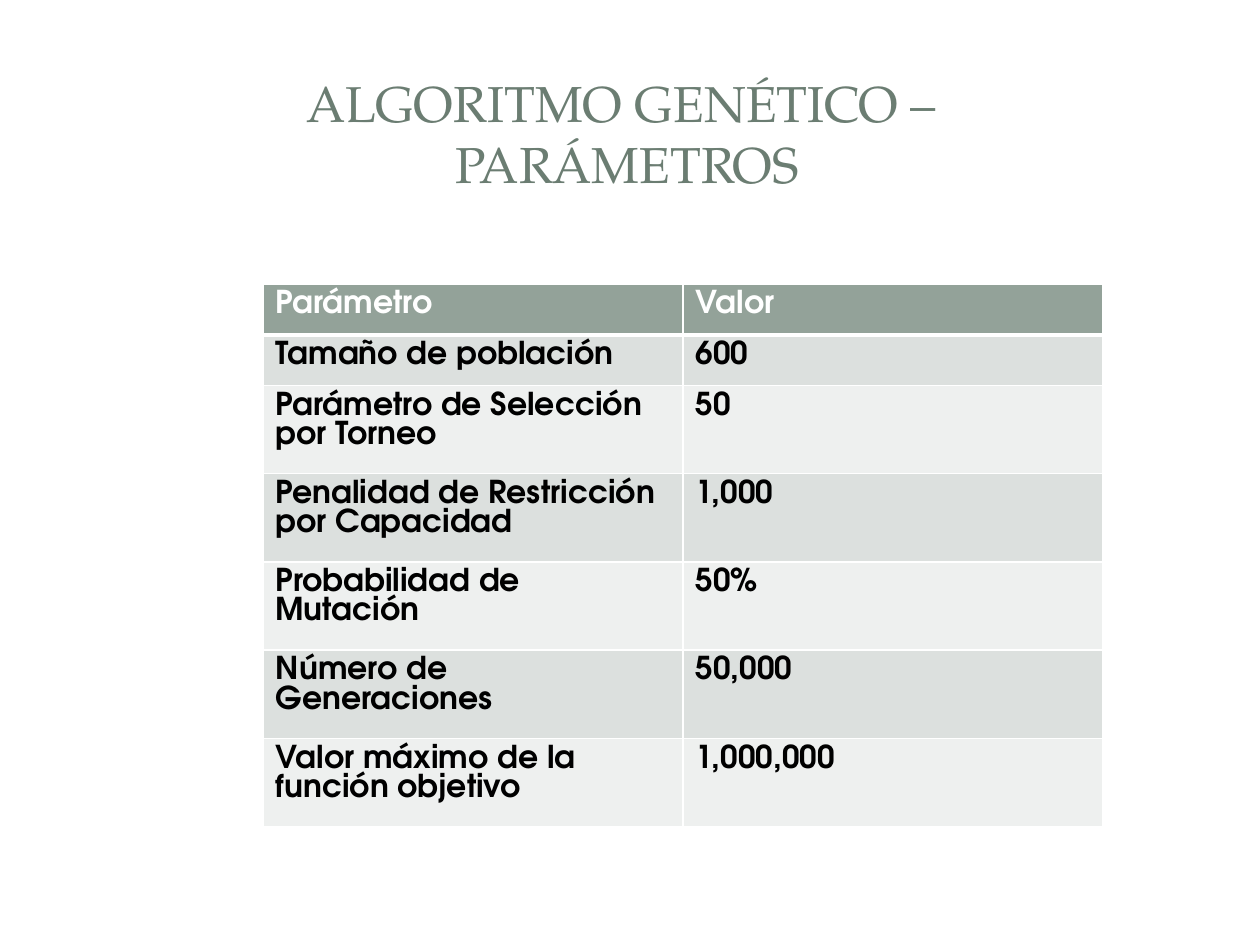
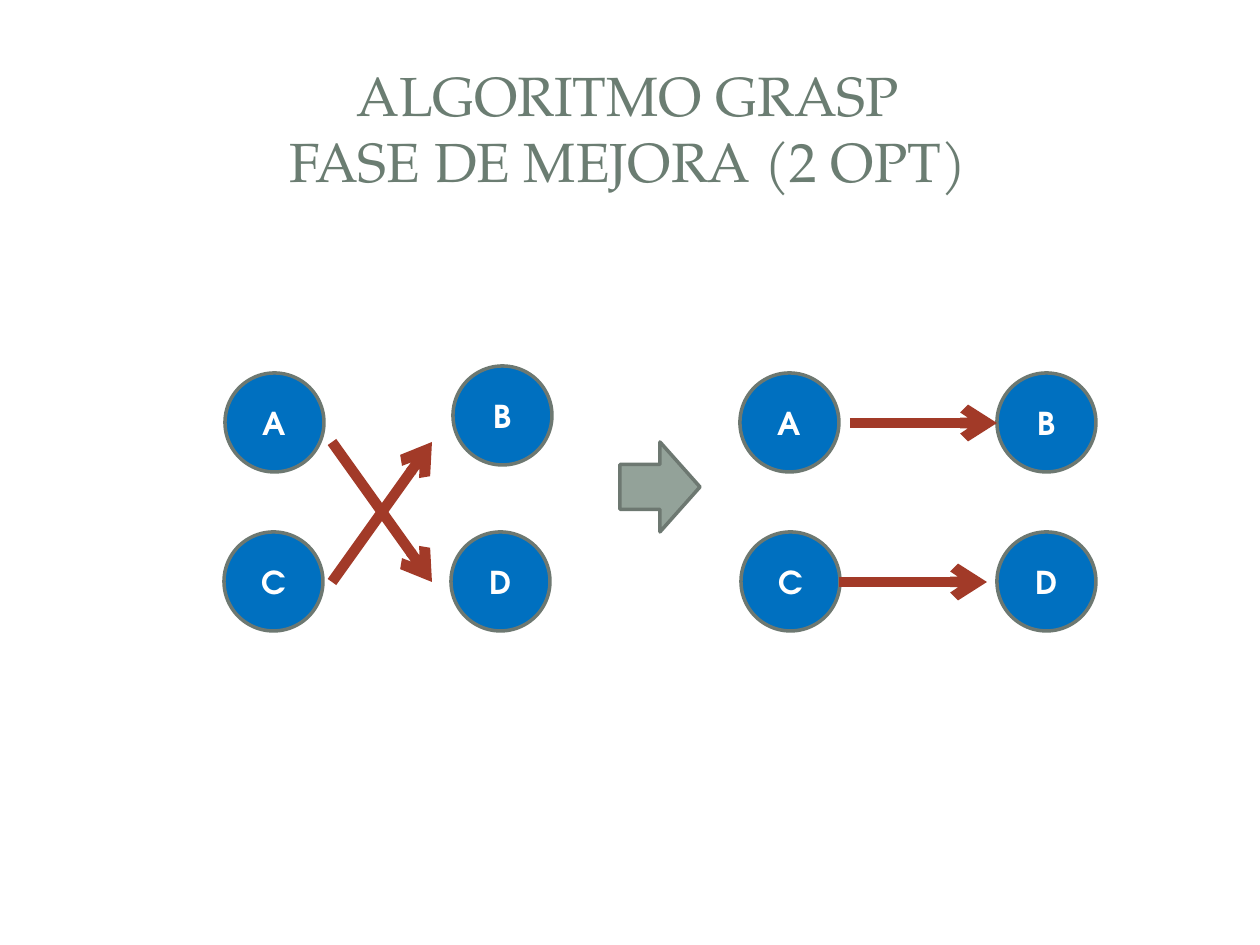
import pptx
import pptx.util
import pptx.dml.color
import pptx.enum.shapes
import pptx.enum.text
import pptx.oxml
import pptx.oxml.ns

RGB = pptx.dml.color.RGBColor
SHAPE = pptx.enum.shapes.MSO_SHAPE
Pt = pptx.util.Pt

# Colours and fonts
WHITE = RGB(0xFF, 0xFF, 0xFF)
BLACK = RGB(0, 0, 0)
SLATE = RGB(0x6B, 0x7D, 0x72)
SAGE = RGB(0x93, 0xA2, 0x99)
DARK = RGB(0xDC, 0xE0, 0xDE)
PALE = RGB(0xEE, 0xF0, 0xEF)
BLUE = RGB(0x00, 0x70, 0xC0)
EDGE = RGB(0x6D, 0x78, 0x71)
RUST = RGB(0xA2, 0x3A, 0x28)
SERIF, SANS = "TeX Gyre Pagella", "TeX Gyre Adventor"

# Shared white panels: shape, box in px, opacity in percent
PANELS = [
    (SHAPE.ROUNDED_RECTANGLE, (13, 14, 1235, 919), 100),
    (SHAPE.RECTANGLE, (38, 38, 1184, 183), 83),
    (SHAPE.RECTANGLE, (52, 52, 1155, 154), 100),
]

# Content: text, box in px, size in points
TITLES = [
    ("ALGORITMO GENÉTICO – \vPARÁMETROS", (144, 86, 967, 94), 28.8),
    ("ALGORITMO GRASP\vFASE DE MEJORA (2 OPT)", (59, 55, 1138, 144), 31.5),
]
PARAMS = [
    ("Parámetro", "Valor"),
    ("Tamaño de población", "600"),
    ("Parámetro de Selección por Torneo", "50"),
    ("Penalidad de Restricción por Capacidad", "1,000"),
    ("Probabilidad de Mutación", "50%"),
    ("Número de Generaciones", "50,000"),
    ("Valor máximo de la función objetivo", "1,000,000"),
]
GRID = (263, 284)
COL = 420
ROWS = [51, 50] + [88] * 5
NODE = 99
NODES = [
    ("A", 225, 373), ("B", 453, 366), ("C", 224, 532), ("D", 451, 532),
    ("A", 740, 373), ("B", 997, 373), ("C", 741, 532), ("D", 997, 532),
]
LINKS = [
    (332, 442, 432, 582), (332, 582, 432, 442),
    (839, 582, 987, 582), (850, 423, 997, 423),
]
STEP = (620, 442, 80, 90)


def px(*vals):
    return [round(v * 914400 / 126) for v in vals]


def style(para, **format):
    """Set font values on a paragraph; colour goes to its RGB."""
    para.font.color.rgb = format.pop("color")
    for key, val in format.items():
        setattr(para.font, key, val)


def add_part(slide, kind, box, fill, edge=None):
    part = slide.shapes.add_shape(kind, *px(*box))
    part.shadow.inherit = False
    part.fill.solid()
    part.fill.fore_color.rgb = fill
    if edge is None:
        part.line.fill.background()
    else:
        part.line.color.rgb = edge
        part.line.width = Pt(2)
    return part


def add_panel(slide, kind, box, solid):
    panel = add_part(slide, kind, box, WHITE)
    if kind == SHAPE.ROUNDED_RECTANGLE:
        panel.adjustments[0] = 0.02
    if solid < 100:
        space = pptx.oxml.ns.nsdecls("a")
        tint = panel._element.spPr.find(".//" + pptx.oxml.ns.qn("a:srgbClr"))
        tint.append(pptx.oxml.parse_xml(
            f'<a:alpha {space} val="{solid * 1000}"/>'))


def add_page(deck, text, box, size):
    slide = deck.slides.add_slide(deck.slide_layouts[6])
    for panel in PANELS:
        add_panel(slide, *panel)
    frame = slide.shapes.add_textbox(*px(*box)).text_frame
    frame.word_wrap = True
    frame.vertical_anchor = pptx.enum.text.MSO_ANCHOR.MIDDLE
    para = frame.paragraphs[0]
    para.text = text
    para.alignment = pptx.enum.text.PP_ALIGN.CENTER
    style(para, name=SERIF, size=Pt(size), color=SLATE)
    return slide


def add_edge(cell, side, width):
    space = pptx.oxml.ns.nsdecls("a")
    cell._tc.get_or_add_tcPr().append(pptx.oxml.parse_xml(
        f'<a:ln{side} {space} w="{Pt(width)}"><a:solidFill>'
        f'<a:srgbClr val="{WHITE}"/></a:solidFill></a:ln{side}>'))


def add_params(slide):
    table = slide.shapes.add_table(
        len(PARAMS), 2, *px(*GRID, 2 * COL, sum(ROWS))).table
    for col in table.columns:
        col.width = px(COL)[0]
    for r, (high, words) in enumerate(zip(ROWS, PARAMS)):
        table.rows[r].height = px(high)[0]
        head = r == 0
        for c, word in enumerate(words):
            cell = table.cell(r, c)
            cell.text = word
            style(cell.text_frame.paragraphs[0], name=SANS, size=Pt(18),
                  bold=True, color=WHITE if head else BLACK)
            for side in "LRTB":
                thick = head and side == "B" or r == 1 and side == "T"
                add_edge(cell, side, 3 if thick else 1)
            cell.fill.solid()
            cell.fill.fore_color.rgb = SAGE if head else DARK if r % 2 else PALE


def add_node(slide, name, x, y):
    node = add_part(slide, SHAPE.OVAL, (x, y, NODE, NODE), BLUE, EDGE)
    frame = node.text_frame
    frame.vertical_anchor = pptx.enum.text.MSO_ANCHOR.MIDDLE
    para = frame.paragraphs[0]
    para.text = name
    para.alignment = pptx.enum.text.PP_ALIGN.CENTER
    style(para, name=SANS, size=Pt(18), bold=True, color=WHITE)


def add_link(slide, ends):
    link = slide.shapes.add_connector(
        pptx.enum.shapes.MSO_CONNECTOR.STRAIGHT, *px(*ends))
    link.line.color.rgb = RUST
    link.line.width = Pt(6)
    space = pptx.oxml.ns.nsdecls("a")
    link.line._get_or_add_ln().append(
        pptx.oxml.parse_xml(f'<a:tailEnd {space} type="arrow"/>'))
    link._element.spPr.append(pptx.oxml.parse_xml(f"<a:effectLst {space}/>"))


def main():
    deck = pptx.Presentation()
    deck.slide_width, deck.slide_height = px(1260, 945)
    first, second = [add_page(deck, *title) for title in TITLES]

    # Parameter table
    add_params(first)

    # Crossed links become straight ones
    for node in NODES:
        add_node(second, *node)
    add_part(second, SHAPE.RIGHT_ARROW, STEP, SAGE, EDGE)
    for ends in LINKS:
        add_link(second, ends)

    deck.save("out.pptx")


if __name__ == "__main__":
    main()
